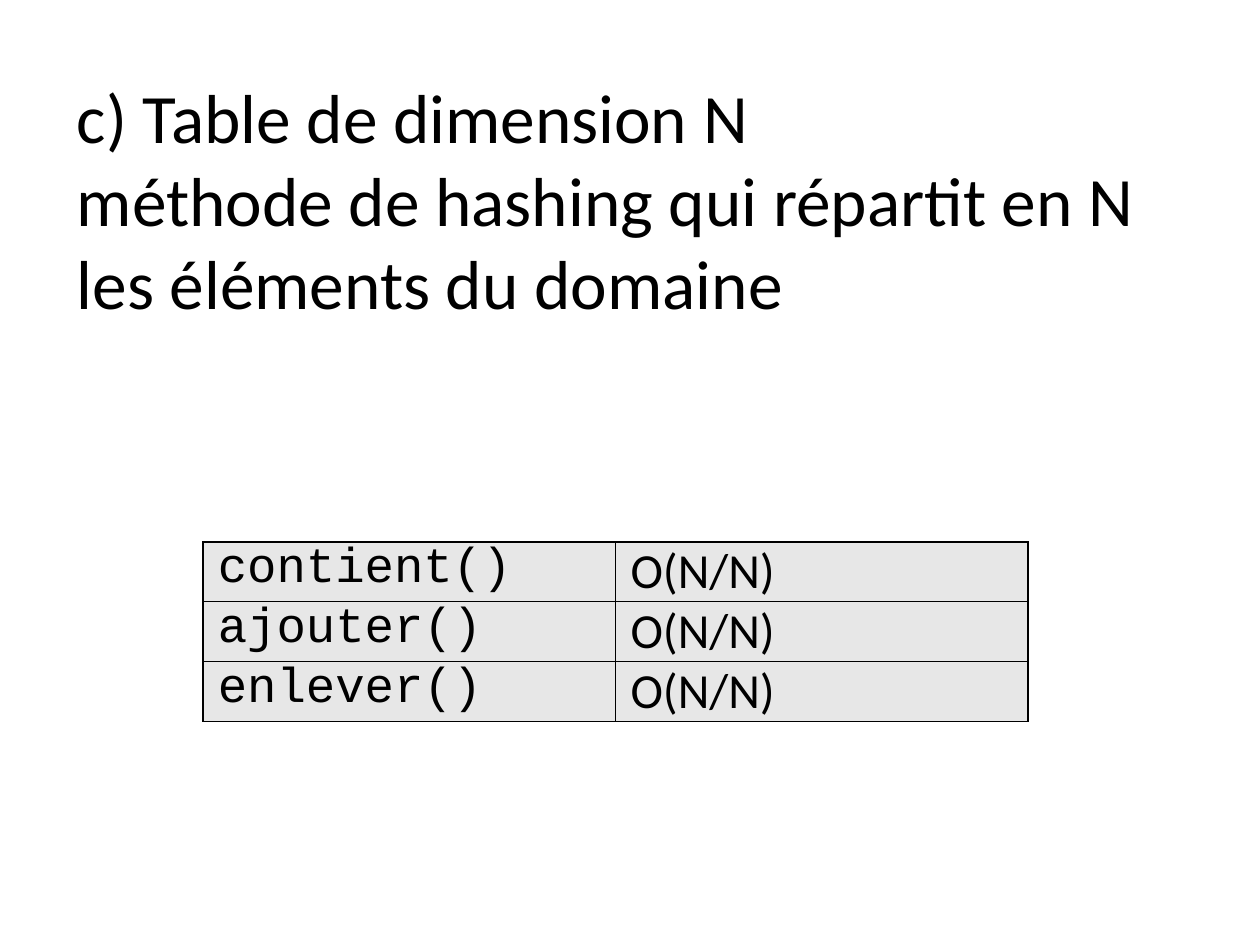
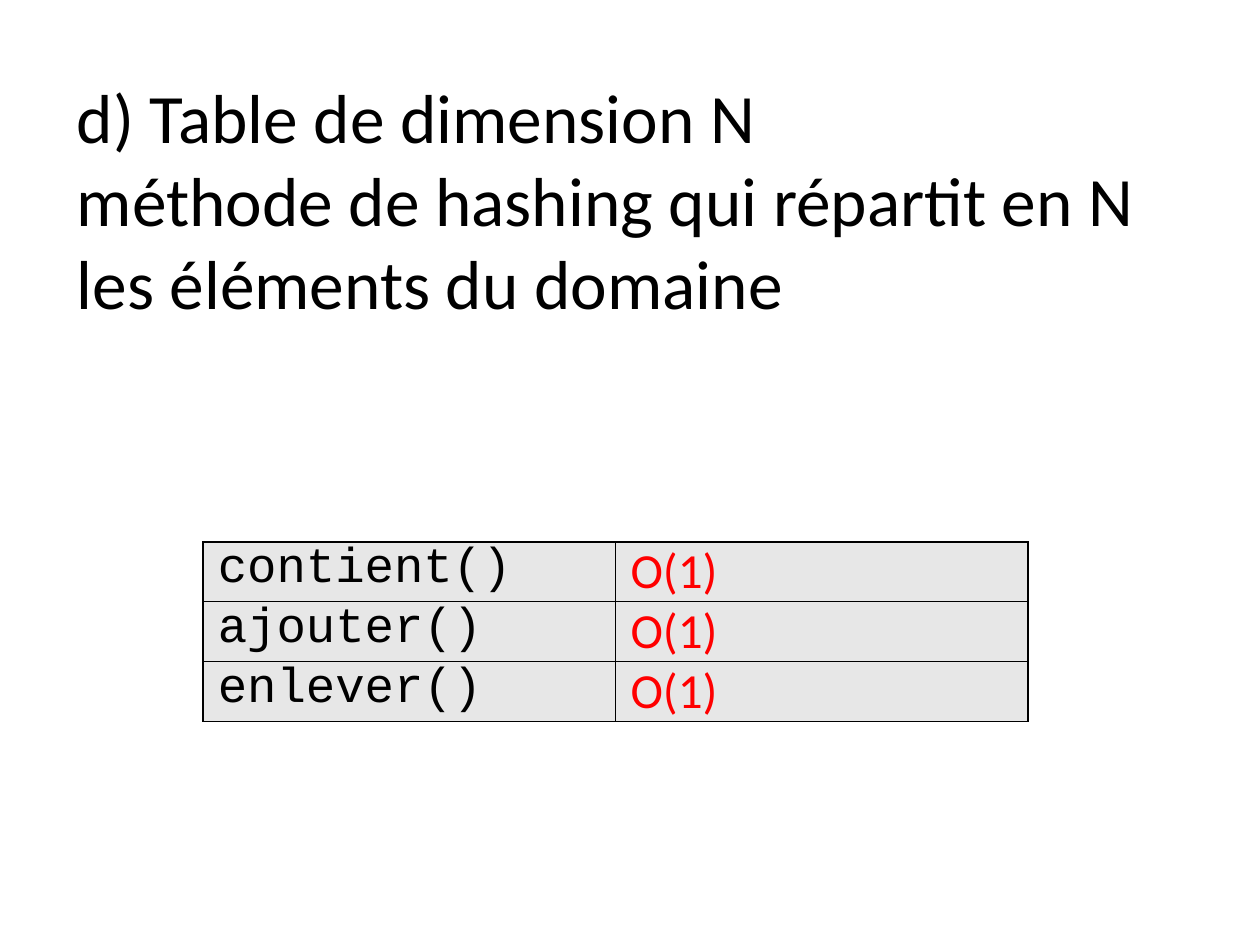
from lxml import etree
from pptx import Presentation
from pptx.dml.color import RGBColor
from pptx.enum import text
from pptx.oxml import ns
from pptx.util import Inches, Pt

COLOURS = {"ink": "000000", "accent": "FF0000", "cell": "E7E7E7"}
TITLE_BOX = (0.51, 0.44, 9, 2.28)
TABLE_BOX = (1.61, 4.3, 6.55, 1.42)
TITLE_TAIL = "méthode de hashing qui répartit en N les éléments du domaine"
METHODS = ("contient()", "ajouter()", "enlever()")
CASES = (
    ("c) Table de dimension N", "O(N/N)", "ink"),
    ("d) Table de dimension N", "O(1)", "accent"),
)


def assign(target, values):
    """Set each named attribute of the target."""
    for name, value in values.items():
        setattr(target, name, value)


def write(para, wording, font, size, colour="ink"):
    """Add a formatted span to a paragraph."""
    span = para.add_run()
    span.text = wording
    assign(span.font, {"name": font, "size": Pt(size)})
    span.font.color.rgb = RGBColor.from_string(COLOURS[colour])


def add_title(page, box, heading):
    """Fill the title placeholder with a heading and the shared tail."""
    title = page.shapes.title
    assign(title, dict(zip(("left", "top", "width", "height"), map(Inches, box))))
    assign(title.text_frame, {
        "word_wrap": True,
        "auto_size": text.MSO_AUTO_SIZE.NONE,
        "vertical_anchor": text.MSO_ANCHOR.MIDDLE,
    })
    para = title.text_frame.paragraphs[0]
    para.alignment = text.PP_ALIGN.LEFT
    write(para, heading, "Calibri", 39.6)
    para.add_line_break()
    write(para, TITLE_TAIL, "Calibri", 39.6)


def add_borders(cell):
    """Draw a thin line on the four sides of a cell."""
    properties = cell._tc.get_or_add_tcPr()
    for position, side in enumerate(("lnL", "lnR", "lnT", "lnB")):
        line = etree.Element(ns.qn(f"a:{side}"), w=str(Pt(1)))
        fill = etree.SubElement(line, ns.qn("a:solidFill"))
        etree.SubElement(fill, ns.qn("a:srgbClr"), val=COLOURS["ink"])
        properties.insert(position, line)


def fill_cell(cell, wording, font, colour):
    """Format one cell and write its text."""
    assign(cell, {
        "margin_left": Inches(0.12), "margin_right": Inches(0.12),
        "margin_top": 0, "margin_bottom": 0,
        "vertical_anchor": text.MSO_ANCHOR.TOP,
    })
    cell.fill.solid()
    cell.fill.fore_color.rgb = RGBColor.from_string(COLOURS["cell"])
    add_borders(cell)
    write(cell.text_frame.paragraphs[0], wording, font, 28, colour)


def add_cost_table(page, box, cost, colour):
    """List each method beside its cost."""
    table = page.shapes.add_table(len(METHODS), 2, *map(Inches, box)).table
    assign(table, {"first_row": False, "horz_banding": False})
    for row, method in enumerate(METHODS):
        fill_cell(table.cell(row, 0), method, "Courier New", "ink")
        fill_cell(table.cell(row, 1), cost, "Calibri", colour)


def add_case_page(deck, heading, cost, colour):
    """Add a page that shows one hashing case."""
    page = deck.slides.add_slide(deck.slide_layouts[5])
    add_title(page, TITLE_BOX, heading)
    add_cost_table(page, TABLE_BOX, cost, colour)


def main():
    """Build and save the deck."""
    deck = Presentation()
    assign(deck, {"slide_width": Inches(10), "slide_height": Inches(7.5)})
    for case in CASES:
        add_case_page(deck, *case)
    deck.save("out.pptx")


if __name__ == "__main__":
    main()
